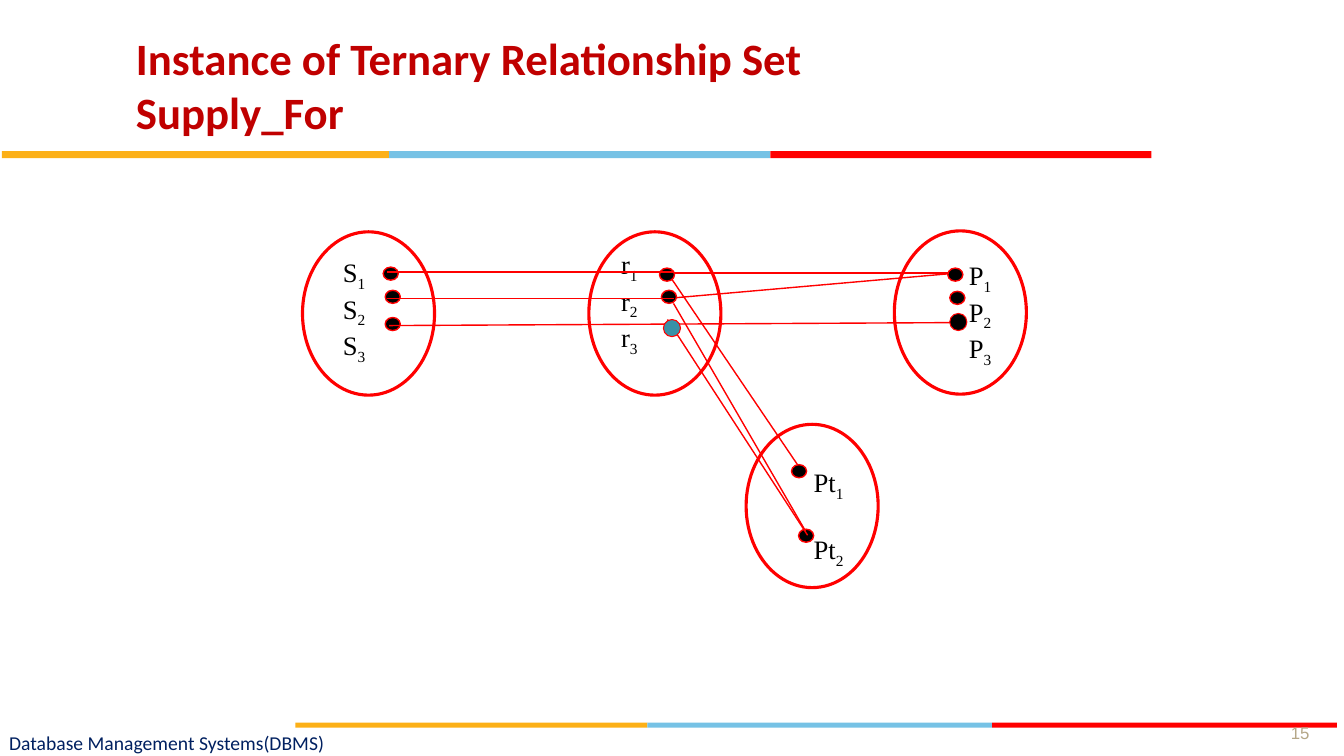
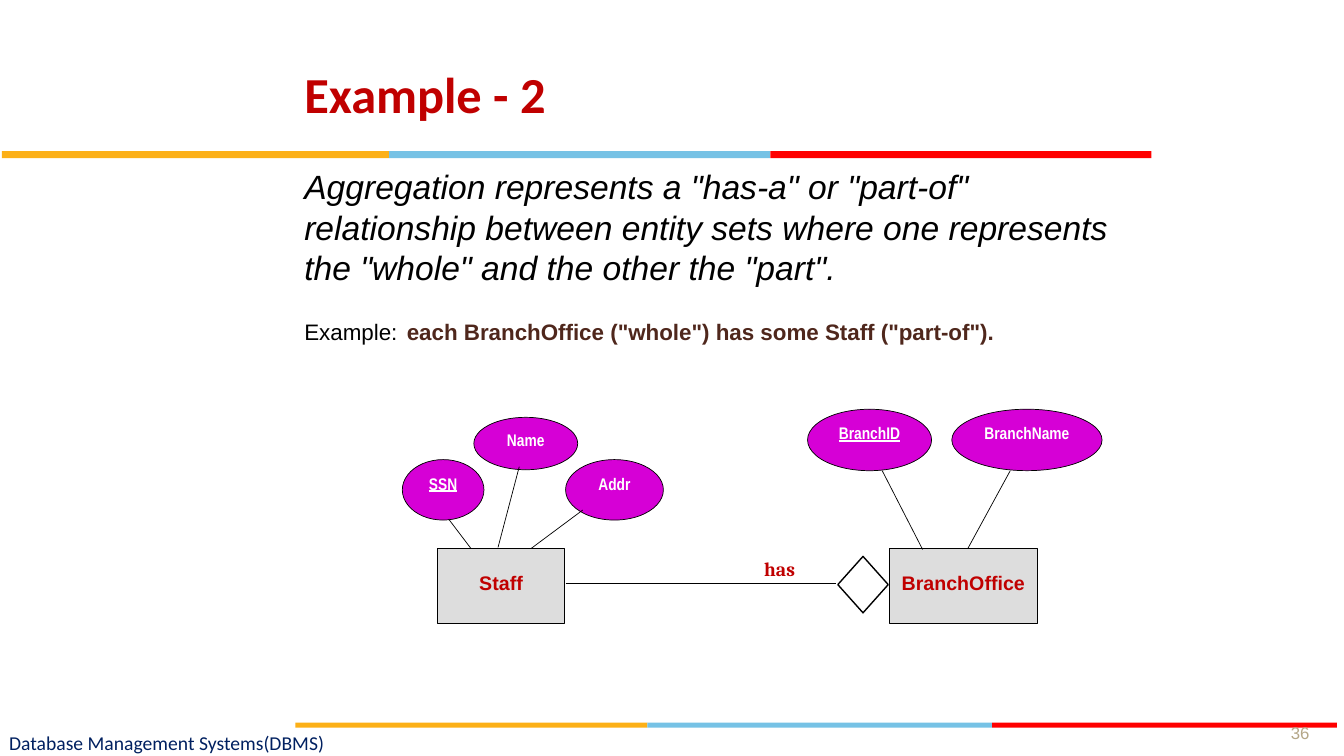
from dataclasses import dataclass

from lxml import etree
from pptx import Presentation
from pptx.dml.color import RGBColor
from pptx.enum import shapes, text
from pptx.oxml.ns import qn
from pptx.util import Emu, Pt

PX = 9144  # 100 px to the inch
OVAL = shapes.MSO_SHAPE.OVAL
RECT = shapes.MSO_SHAPE.RECTANGLE
DIAMOND = shapes.MSO_SHAPE.FLOWCHART_DECISION


@dataclass(frozen=True)
class Theme:
    title: str = "C00000"
    footer: str = "002060"
    page: str = "B5A788"
    amber: str = "FCB017"
    sky: str = "76C2E5"
    red: str = "FF0000"
    black: str = "000000"
    white: str = "FFFFFF"
    teal: str = "3891A7"
    brown: str = "4F271C"
    attribute: str = "D600D6"
    entity: str = "DDDDDD"
    body_size: int = 24
    example_size: int = 16
    label_size: int = 14
    small_size: int = 12
    member_size: int = 19
    member_line: int = 26


T = Theme()

FOOTER = "Database Management Systems(DBMS)"
# left, top, height, widths of the amber, sky and red parts
BANDS = [(2, 150, 7, (384, 378, 378)), (293, 717, 5, (349, 342, 342))]

# Ternary relationship: sets, their member labels, dots and links
SET_SIZE = (131, 162)
SETS = [(300, 230), (584, 230), (887, 229), (740, 421)]
# left, top, prefix, number of members, extra points between members
MEMBERS = [(340, 254, "S", 3, 0), (616, 246, "r", 3, 0),
           (961, 257, "P", 3, 0), (807, 462, "Pt", 2, 22)]
DOT_SIZE = (15, 13)
DOTS = [(380, 265), (382, 288), (382, 315), (654, 266), (656, 288),
        (940, 266), (942, 289), (785, 461), (792, 525)]
BIG_DOTS = [(942, 311, T.black), (658, 317, T.teal)]
LINKS_BEHIND = [(664, 271, 948, 271), (663, 296, 948, 271), (793, 464, 665, 275)]
LINKS_FRONT = [(384, 270, 668, 270), (384, 296, 668, 296), (668, 301, 799, 527),
               (386, 323, 952, 320), (662, 317, 801, 531)]

# Aggregation: definition, entities, attributes and links
DEFINITION = ('Aggregation represents a "has-a" or "part-of" relationship between '
              'entity sets where one represents the "whole" and the other the "part".')
EXAMPLE = 'each BranchOffice ("whole") has some Staff ("part-of").'
ENTITIES = [("Staff", (434, 544, 126, 74)), ("BranchOffice", (882, 544, 147, 74))]
# name, place, is key
ATTRIBUTES = [("SSN", (399, 456, 81, 60), True), ("Name", (470, 414, 103, 52), False),
              ("Addr", (561, 456, 97, 60), False), ("BranchID", (801, 406, 123, 61), True),
              ("BranchName", (944, 406, 149, 61), False)]
ENTITY_LINKS = [(445, 515, 467, 544), (515, 463, 494, 543), (578, 506, 527, 544),
                (875, 467, 915, 545), (1002, 467, 960, 544), (561, 579, 829, 579)]


def px(*values):
    return [Emu(v * PX) for v in values]


def rgb(color):
    return RGBColor.from_string(color)


def add_run(p, words, size, font="Arial", color=T.black, bold=False, italic=False,
            underline=False, subscript=False):
    """Add formatted text to p; a newline in words becomes a line break."""
    for i, line in enumerate(words.split("\n")):
        if i:
            p.add_line_break()
        r = p.add_run()
        r.text = line
        r.font.size, r.font.name = Pt(size), font
        r.font.bold, r.font.italic, r.font.underline = bold, italic, underline
        r.font.color.rgb = rgb(color)
        if subscript:
            r.font._element.set("baseline", "-25000")


def set_frame(tf, margins=(10, 5, 10, 5), anchor="TOP", wrap=True):
    tf.word_wrap = wrap
    tf.margin_left, tf.margin_top, tf.margin_right, tf.margin_bottom = px(*margins)
    tf.vertical_anchor = text.MSO_ANCHOR[anchor]
    return tf


def add_text(s, place, words="", align="LEFT", margins=(10, 5, 10, 5), anchor="TOP",
             wrap=True, **style):
    """Add a text box; with no words, return its frame ready for runs."""
    tf = set_frame(s.shapes.add_textbox(*px(*place)).text_frame, margins, anchor, wrap)
    p = tf.paragraphs[0]
    p.alignment = text.PP_ALIGN[align]
    if words:
        add_run(p, words, **style)
    return tf


def add_shape(s, kind, place, fill=None, line=None, width=1.0):
    sp = s.shapes.add_shape(kind, *px(*place))
    sp.shadow.inherit = False
    if fill:
        sp.fill.solid()
        sp.fill.fore_color.rgb = rgb(fill)
    else:
        sp.fill.background()
    if line:
        sp.line.color.rgb, sp.line.width = rgb(line), Pt(width)
    else:
        sp.line.fill.background()
    return sp


def add_label(sp, words, top, **style):
    p = set_frame(sp.text_frame, (0, top, 0, 5), wrap=False).paragraphs[0]
    p.alignment = text.PP_ALIGN.CENTER
    add_run(p, words, bold=True, **style)


def add_links(s, links, color, width):
    for ends in links:
        c = s.shapes.add_connector(shapes.MSO_CONNECTOR.STRAIGHT, *px(*ends))
        c.line.color.rgb, c.line.width = rgb(color), Pt(width)
        etree.SubElement(c._element.spPr, qn("a:effectLst"))


def add_slide(prs, title, place, size, page):
    """Add a slide with the shared title style, bands and footer."""
    s = prs.slides.add_slide(prs.slide_layouts[6])
    add_text(s, place, title, anchor="MIDDLE", size=size, font="Calibri",
             color=T.title, bold=True)
    for x, y, h, widths in BANDS:
        for w, color in zip(widths, (T.amber, T.sky, T.red)):
            add_shape(s, RECT, (x, y, w, h), color)
            x += w
    add_text(s, (9, 723, 496, 27), FOOTER, margins=(0, 0, 0, 0), anchor="MIDDLE",
             size=T.label_size, font="Calibri", color=T.footer)
    add_text(s, (1256, 690, 67, 52), page, align="CENTER", anchor="BOTTOM",
             size=T.small_size, color=T.page)
    return s


def add_members(s, x, y, prefix, count, gap):
    tf = add_text(s, (x, y, 60, 115), margins=(0, 0, 0, 0))
    for n in range(1, count + 1):
        p = tf.paragraphs[0] if n == 1 else tf.add_paragraph()
        p.line_spacing = Pt(T.member_line)
        if n > 1:
            p.space_before = Pt(gap)
        style = dict(size=T.member_size, font="Times New Roman")
        add_run(p, prefix, **style)
        add_run(p, str(n), subscript=True, **style)


def build_ternary(prs):
    s = add_slide(prs, "Instance of Ternary Relationship Set\nSupply_For",
                  (125, 30, 1178, 108), 32, "15")
    add_links(s, LINKS_BEHIND, T.red, 1)
    for members in MEMBERS:
        add_members(s, *members)
    for corner in SETS:
        add_shape(s, OVAL, corner + SET_SIZE, line=T.red, width=2.25)
    for corner in DOTS:
        add_shape(s, OVAL, corner + DOT_SIZE, T.black, T.red)
    add_links(s, LINKS_FRONT, T.red, 1)
    for x, y, color in BIG_DOTS:
        add_shape(s, OVAL, (x, y, 17, 17), color, T.red, 0.75)


def build_aggregation(prs):
    s = add_slide(prs, "Example - 2", (292, 30, 852, 125), 36, "36")
    tf = add_text(s, (292, 160, 833, 199), DEFINITION, size=T.body_size, italic=True)
    p = tf.add_paragraph()
    p.space_before = Pt(14)
    add_run(p, "Example:", T.example_size)
    add_run(p, " ", T.body_size)
    add_run(p, EXAMPLE, T.example_size, color=T.brown, bold=True)

    for name, place, is_key in ATTRIBUTES:
        sp = add_shape(s, OVAL, place, T.attribute, T.black, 0.5)
        add_label(sp, name, 5, size=T.small_size, font="Arial Narrow", color=T.white,
                  underline=is_key)
    for name, place in ENTITIES:
        sp = add_shape(s, RECT, place, T.entity, T.black, 0.5)
        add_label(sp, name, 22, size=T.label_size, color=T.title)
    add_links(s, ENTITY_LINKS, T.black, 0.5)
    add_shape(s, DIAMOND, (831, 552, 50, 56), T.white, T.black)
    add_text(s, (758, 553, 84, 56), "has", margins=(0, 0, 0, 0), size=T.label_size,
             font="Cambria", color=T.title, bold=True)


def main():
    prs = Presentation()
    prs.slide_width, prs.slide_height = px(1333, 750)
    build_ternary(prs)
    build_aggregation(prs)
    prs.save("out.pptx")


if __name__ == "__main__":
    main()
